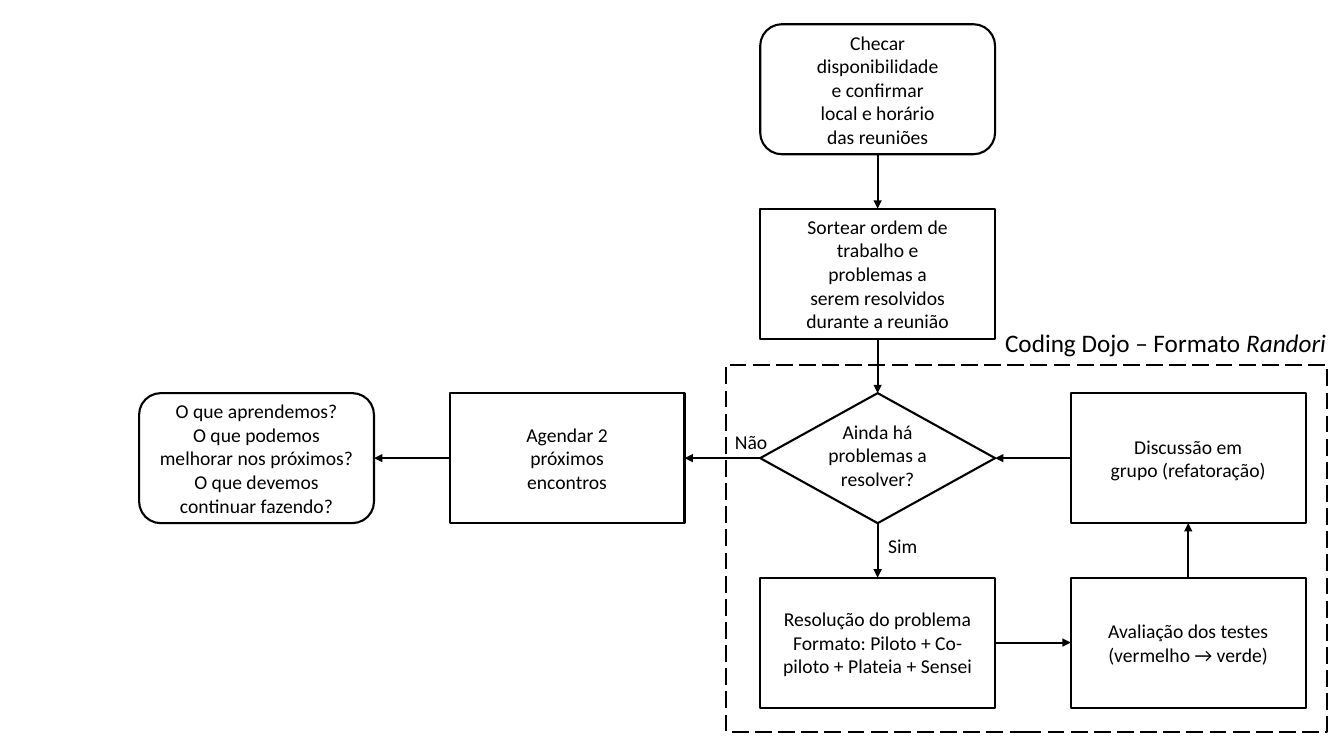
from pptx import Presentation
from pptx.dml.color import RGBColor
from pptx.enum.dml import MSO_LINE
from pptx.enum.shapes import MSO_CONNECTOR, MSO_SHAPE
from pptx.enum.text import MSO_ANCHOR, PP_ALIGN
from pptx.oxml.ns import qn
from pptx.util import Inches, Pt
from lxml import etree

COLORS = {"ink": "000000"}
INK = RGBColor.from_string(COLORS["ink"])
WIDE, HIGH = 2.33, 1.29
LEFT, TOP = 1.38, 0.24
STEP_X, STEP_Y = 3.08, 1.83
UP, WEST, DOWN, EAST = range(4)


def write(frame, text, size=14, align=PP_ALIGN.CENTER, side=0.1, tail=""):
    """Fill a text frame, one paragraph per line; tail is added in italics."""
    frame.word_wrap = True
    frame.vertical_anchor = MSO_ANCHOR.MIDDLE
    frame.margin_left = frame.margin_right = Inches(side)
    for i, line in enumerate(text.split("\n")):
        para = frame.paragraphs[0] if i == 0 else frame.add_paragraph()
        para.alignment = align
        for part, slant in ((line, None), (tail, True)):
            if part:
                run = para.add_run()
                run.text = part
                run.font.name = "Calibri"
                run.font.size = Pt(size)
                run.font.italic = slant
                run.font.color.rgb = INK


def outline(kind, left, top, wide, high):
    shape = slide.shapes.add_shape(
        kind, Inches(left), Inches(top), Inches(wide), Inches(high))
    shape.shadow.inherit = False
    shape.fill.background()
    shape.line.color.rgb = INK
    shape.line.width = Pt(1.5)
    return shape


deck = Presentation()
deck.slide_width, deck.slide_height = Inches(13.33), Inches(7.5)
slide = deck.slides.add_slide(deck.slide_layouts[6])

# Steps: name, shape, column, row, side margin, text
RECT, ROUND = MSO_SHAPE.RECTANGLE, MSO_SHAPE.ROUNDED_RECTANGLE
steps = [
    ("check", ROUND, 2, 0, 0.44,
     "Checar disponibilidade e confirmar local e horário das reuniões"),
    ("draw", RECT, 2, 1, 0.44,
     "Sortear ordem de trabalho e problemas a serem resolvidos durante a reunião"),
    ("ask", MSO_SHAPE.FLOWCHART_DECISION, 2, 2, 0, ""),
    ("solve", RECT, 2, 3, 0.1,
     "Resolução do problema\nFormato: Piloto + Co-piloto + Plateia + Sensei"),
    ("test", RECT, 3, 3, 0.34, "Avaliação dos testes (vermelho → verde)"),
    ("talk", RECT, 3, 2, 0.39, "Discussão em grupo (refatoração)"),
    ("plan", RECT, 1, 2, 0.44, "Agendar 2 próximos encontros"),
    ("review", ROUND, 0, 2, 0.1,
     "O que aprendemos?\nO que podemos melhorar nos próximos?\n"
     "O que devemos continuar fazendo?"),
]
nodes = {}
for name, kind, col, row, side, text in steps:
    node = outline(kind, LEFT + col * STEP_X, TOP + row * STEP_Y, WIDE, HIGH)
    if text:
        write(node.text_frame, text, side=side)
    nodes[name] = node

# Arrows between the steps
arrows = [
    ("check", DOWN, "draw", UP),
    ("draw", DOWN, "ask", UP),
    ("ask", DOWN, "solve", UP),
    ("solve", EAST, "test", WEST),
    ("test", UP, "talk", DOWN),
    ("talk", WEST, "ask", EAST),
    ("ask", WEST, "plan", EAST),
    ("plan", WEST, "review", EAST),
]
for start, out, end, into in arrows:
    arrow = slide.shapes.add_connector(MSO_CONNECTOR.STRAIGHT, 0, 0, 0, 0)
    arrow.begin_connect(nodes[start], out)
    arrow.end_connect(nodes[end], into)
    arrow.line.color.rgb = INK
    arrow.line.width = Pt(1.5)
    etree.SubElement(arrow.line._get_or_add_ln(), qn("a:tailEnd"), type="triangle")
    etree.SubElement(arrow._element.spPr, qn("a:effectLst"))

# Dashed frame around the dojo loop
dojo = outline(RECT, 7.2, 3.62, 5.96, 3.64)
dojo.line.dash_style = MSO_LINE.LONG_DASH

# Free text
labels = [
    ((7.88, 4.11, 1.65, 0.81), "Ainda há problemas a resolver?", {}),
    ((8.71, 5.24, 0.55, 0.34), "Sim", {"align": PP_ALIGN.LEFT}),
    ((7.19, 4.21, 0.55, 0.34), "Não", {"align": PP_ALIGN.LEFT}),
    ((9.87, 3.2, 3.59, 0.4), "Coding Dojo – Formato ",
     {"align": PP_ALIGN.LEFT, "size": 18, "tail": "Randori"}),
]
for place, text, look in labels:
    label = slide.shapes.add_textbox(*map(Inches, place))
    write(label.text_frame, text, **look)

deck.save("out.pptx")
